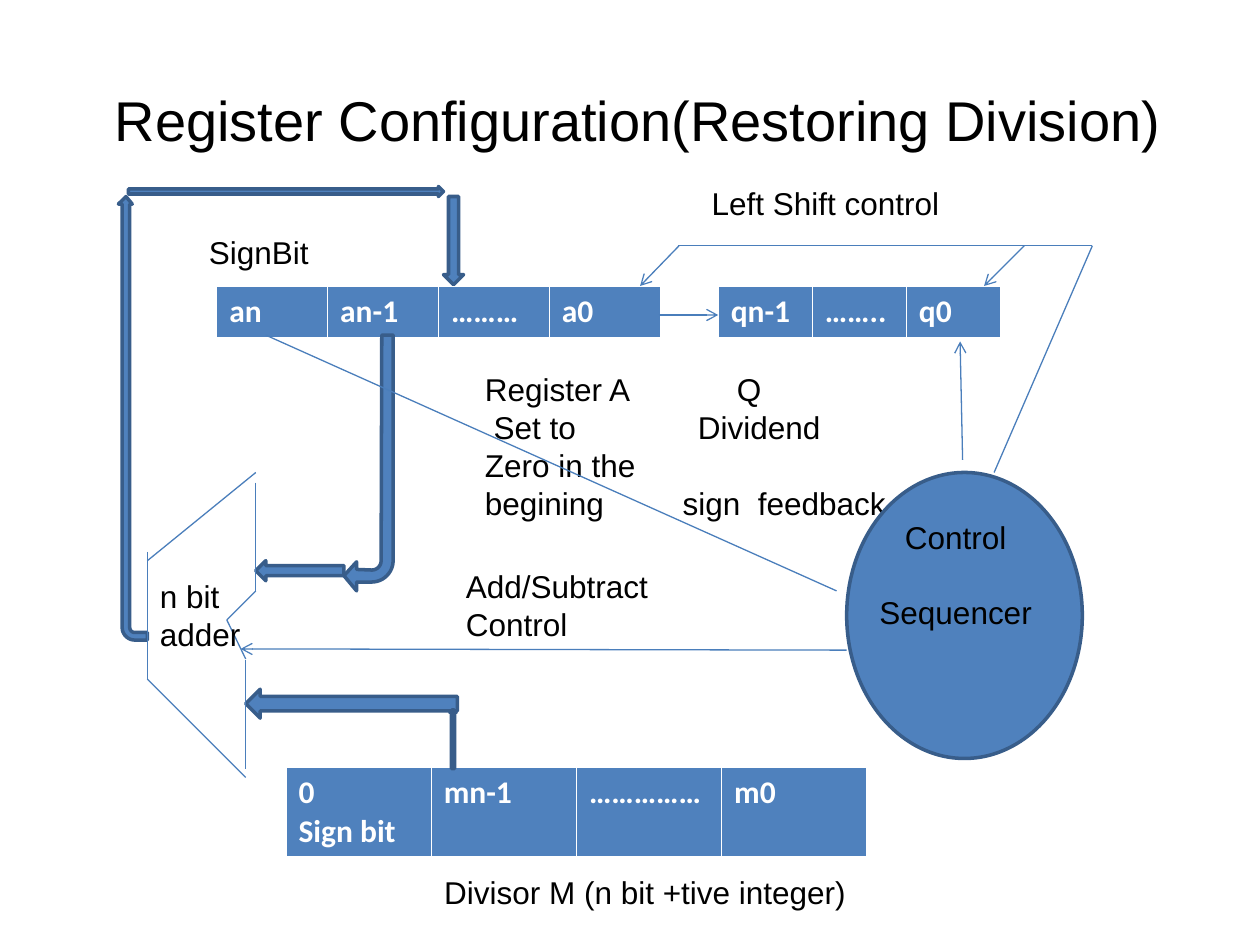
from math import cos, radians, sin

from lxml.etree import SubElement
from pptx import Presentation
from pptx.dml.color import RGBColor
from pptx.enum.shapes import MSO_CONNECTOR, MSO_SHAPE
from pptx.enum.text import MSO_ANCHOR, PP_ALIGN
from pptx.oxml.ns import qn
from pptx.util import Inches, Pt

COLORS = {"fill": "4F81BD", "edge": "385D8A", "wire": "4A7EBB",
          "text": "000000", "cell": "FFFFFF"}
RGB = {name: RGBColor.from_string(value) for name, value in COLORS.items()}

prs = Presentation()
prs.slide_width, prs.slide_height = Inches(10), Inches(7.5)
COL, ROW = prs.slide_width / 100, prs.slide_height / 75
s = prs.slides.add_slide(prs.slide_layouts[5])


def grid(*values):
    """Turn alternating columns and rows into slide lengths."""
    return [int(v * (ROW if i % 2 else COL)) for i, v in enumerate(values)]


def arc(cx, cy, radius, start, end):
    """Return grid points along an arc, with angles in degrees."""
    angles = [radians(start + (end - start) * i / 12) for i in range(13)]
    return [(cx + radius * cos(a), cy + radius * sin(a)) for a in angles]


# Title
title = s.shapes.title
title.left, title.top, title.width, title.height = grid(8.1, 6.3, 87, 6.4)
tf = title.text_frame
tf.text = "Register Configuration(Restoring Division)"
tf.word_wrap = True
tf.vertical_anchor = MSO_ANCHOR.TOP
p = tf.paragraphs[0]
p.alignment = PP_ALIGN.LEFT
p.runs[0].font.size = Pt(32)
p.runs[0].font.name = "Arial"
p.runs[0].font.color.rgb = RGB["text"]

# Registers A, Q and M
registers = [
    ((17.2, 22.7, 35.2, 4.1), ["an", "an-1", "………", "a0"]),
    ((57, 22.7, 22.4, 4.1), ["qn-1", "……..", "q0"]),
    ((22.7, 60.9, 46.1, 7), ["0\nSign bit", "mn-1", "……………", "m0"]),
]
borders = {"a:lnL": 0.45, "a:lnR": 0.45, "a:lnT": 0.45, "a:lnB": 1.47}
for box, bits in registers:
    table = s.shapes.add_table(1, len(bits), *grid(*box)).table
    for cell, bit in zip(table.rows[0].cells, bits):
        cell.text = bit
        for p in cell.text_frame.paragraphs:
            font = p.runs[0].font
            font.size, font.bold, font.name = Pt(18), True, "Calibri"
            font.color.rgb = RGB["cell"]
        tcPr = cell._tc.get_or_add_tcPr()
        for tag, width in borders.items():
            ln = SubElement(tcPr, qn(tag), w=str(Pt(width)))
            SubElement(SubElement(ln, qn("a:solidFill")), qn("a:srgbClr"),
                       val=COLORS["cell"])
        cell.fill.solid()
        cell.fill.fore_color.rgb = RGB["fill"]

# Register captions: text, indent and tab stop in columns
sp = s.shapes.add_textbox(*grid(37.5, 28.9, 36.7, 13))
tf = sp.text_frame
tf.word_wrap = True
captions = [("Register A\tQ", 0, 20), ("Set to\tDividend", 0.7, 16.2),
            ("Zero in the", 0, 0), ("begining\tsign  feedback", 0, 15.7)]
tf.text = "\n".join(text for text, indent, tab in captions)
for p, (text, indent, tab) in zip(tf.paragraphs, captions):
    pPr = p._p.get_or_add_pPr()
    pPr.set("marL", str(int(indent * COL)))
    if tab:
        SubElement(SubElement(pPr, qn("a:tabLst")), qn("a:tab"),
                   pos=str(int(tab * COL)), algn="l")
    for r in p.runs:
        r.font.size, r.font.name = Pt(18), "Arial"
        r.font.color.rgb = RGB["text"]

# Control sequencer and block arrows
blocks = [s.shapes.add_shape(kind, *grid(*box)) for kind, box in [
    (MSO_SHAPE.OVAL, (67.2, 37.5, 18.7, 22.7)),
    (MSO_SHAPE.LEFT_ARROW, (20.3, 44.5, 7, 1.6)),
    (MSO_SHAPE.RIGHT_ARROW, (10.2, 14.8, 25, 0.8)),
    (MSO_SHAPE.DOWN_ARROW, (35.2, 15.6, 1.6, 7)),
    (MSO_SHAPE.LEFT_ARROW, (19.5, 54.7, 16.8, 2.3)),
    (MSO_SHAPE.UP_ARROW, (35.7, 56.3, 0.5, 4.7)),
]]
register_to_adder = [
    (31.2, 26.6), *arc(29.5, 44.5, 1.7, 0, 90),
    (28.3, 46.2), (28.3, 46.9), (27.3, 45.7), (28.3, 44.6), (28.3, 45.2),
    *arc(29.5, 44.5, 0.75, 90, 0), (30.3, 26.6)]
adder_to_register = [
    (11.7, 50.8), *arc(10.7, 49.8, 1, 90, 180),
    (9.7, 16.2), (9.4, 16.2), (10, 15.6), (10.5, 16.2), (10.3, 16.2),
    *arc(10.7, 49.8, 0.4, 180, 90), (11.7, 50.2)]
for outline in (register_to_adder, adder_to_register):
    points = [grid(*point) for point in outline]
    builder = s.shapes.build_freeform(*points[0])
    builder.add_line_segments(points[1:], close=True)
    blocks.append(builder.convert_to_shape())
for sp in blocks:
    sp.shadow.inherit = False
    sp.fill.solid()
    sp.fill.fore_color.rgb = RGB["fill"]
    sp.line.color.rgb = RGB["edge"]
    sp.line.width = Pt(2)

# Control wires and adder outline: ends, then whether an arrowhead shows
wires = [
    ((52.3, 25, 57, 25), True),
    ((53.8, 19.5, 86.7, 19.5), False),
    ((86.7, 19.5, 78.9, 37.5), False),
    ((53.9, 19.5, 50.8, 22.7), True),
    ((81.3, 19.5, 78.1, 22.7), True),
    ((20.3, 37.5, 11.7, 44.5), False),
    ((11.7, 43.8, 11.7, 53.9), False),
    ((11.7, 53.9, 19.5, 61.7), False),
    ((20.3, 38.3, 20.3, 46.9), False),
    ((19.5, 61, 19.5, 52.4), False),
    ((20.3, 46.9, 18, 49.2), False),
    ((18, 49.2, 19.5, 52.3), False),
    ((67.2, 51.6, 19.1, 51.5), True),
    ((76.4, 36.5, 76.2, 27.1), True),
    ((21.1, 26.6, 66.4, 46.9), False),
]
for ends, arrow in wires:
    wire = s.shapes.add_connector(MSO_CONNECTOR.STRAIGHT, *grid(*ends))
    wire.line.color.rgb = RGB["wire"]
    wire.line.width = Pt(0.74)
    if arrow:
        SubElement(wire.line._get_or_add_ln(), qn("a:tailEnd"), type="arrow")
    SubElement(wire._element.spPr, qn("a:effectLst"))

# Labels: place, text, alignment, space between paragraphs, right inset
labels = [
    ((68, 40.6, 17.2, 10), "Control\nSequencer", PP_ALIGN.CENTER, 21.5, 0.25),
    ((29.7, 68.8, 43, 4), "Divisor M (n bit +tive integer)", PP_ALIGN.CENTER, 0, 0.1),
    ((36, 44.5, 18, 7), "Add/Subtract\nControl", PP_ALIGN.LEFT, 0, 0.1),
    ((11.7, 45.3, 8.9, 7), "n bit adder", PP_ALIGN.LEFT, 0, 0.1),
    ((55.5, 14.1, 23.4, 4), "Left Shift control", PP_ALIGN.LEFT, 0, 0.1),
    ((15.6, 18, 10.9, 4), "SignBit", PP_ALIGN.LEFT, 0, 0.1),
]
for box, text, alignment, gap, inset in labels:
    tf = s.shapes.add_textbox(*grid(*box)).text_frame
    tf.word_wrap = True
    tf.margin_right = Inches(inset)
    tf.text = text
    for i, p in enumerate(tf.paragraphs):
        p.alignment = alignment
        p.space_before = Pt(gap if i else 0)
        font = p.runs[0].font
        font.size, font.name = Pt(18), "Arial"
        font.color.rgb = RGB["text"]

prs.save("out.pptx")
